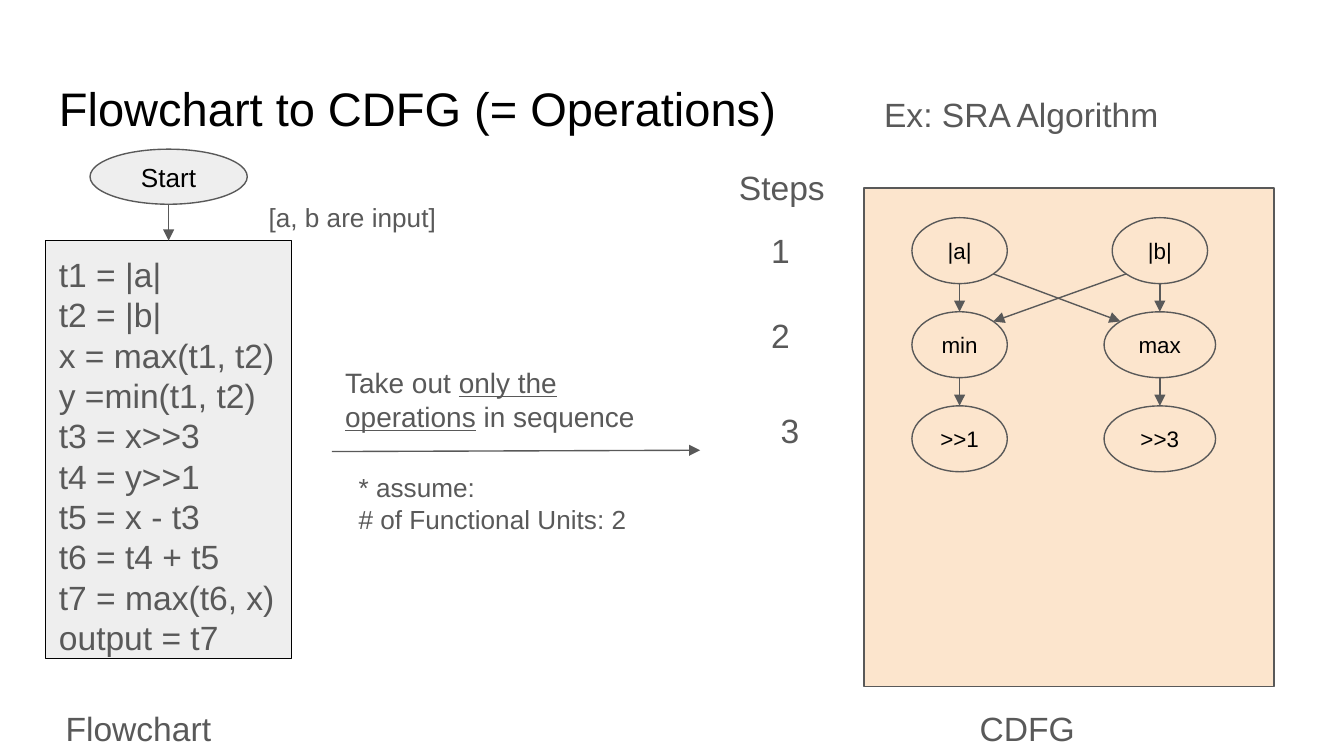
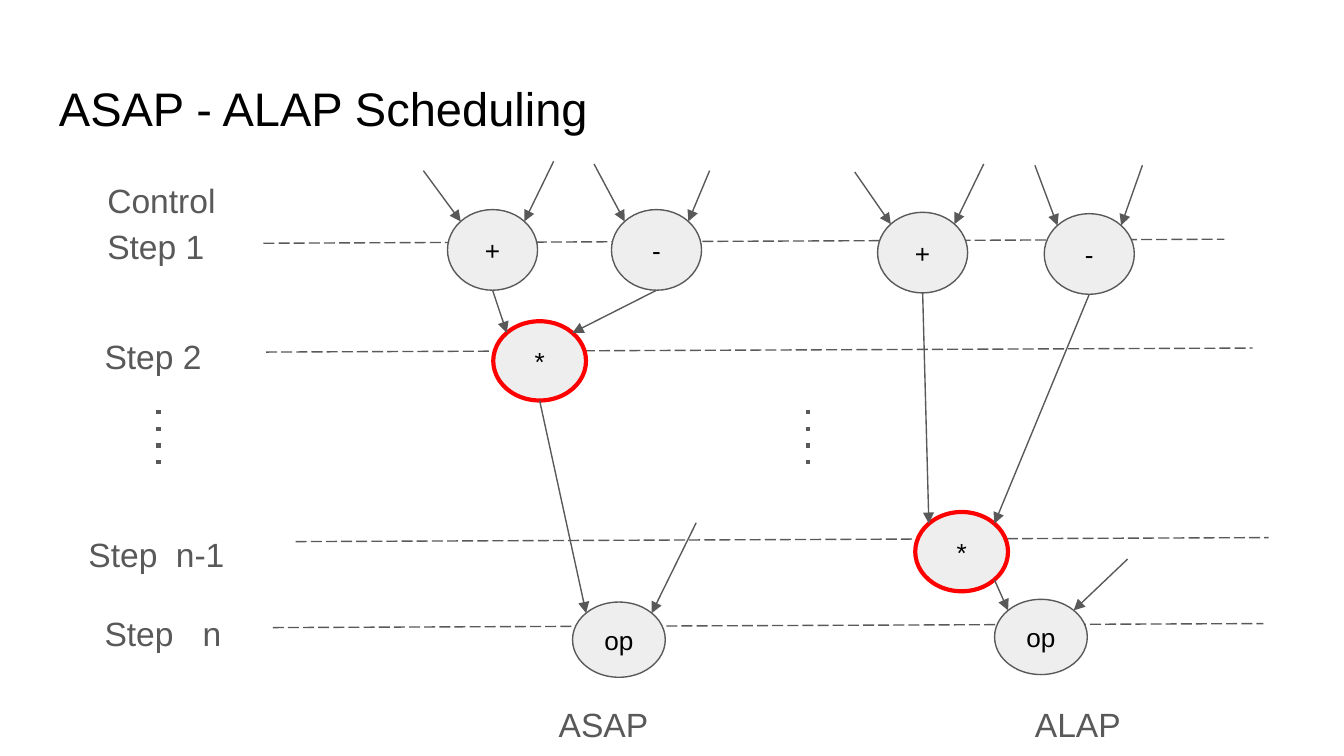
from dataclasses import dataclass
from math import sqrt

from lxml import etree
from pptx import Presentation
from pptx import util as u
from pptx.dml import color as dml
from pptx.enum import shapes, text
from pptx.oxml import ns


@dataclass(frozen=True)
class Theme:
    """Hold the colours, font and sizes shared by the slides."""

    font: str = "Arial"
    black: str = "000000"
    grey: str = "595959"
    node: str = "EEEEEE"
    panel: str = "FCE5CD"
    red: str = "FF0000"
    title: float = 25.2
    body: float = 18
    note: float = 15
    label: float = 14
    small: float = 12
    thin: float = 0.75
    thick: float = 2.25


@dataclass(frozen=True)
class Box:
    """Describe a rectangle in inches."""

    left: float
    top: float
    width: float
    height: float

    def point(self, x, y):
        """Return the slide position of an offset inside the box."""
        return self.left + x, self.top + y

    def inner(self, x, y, width, height):
        """Return a box placed relative to this one."""
        return Box(*self.point(x, y), width, height)

    def site(self, name):
        """Return the point of the inscribed ellipse named by t, b, l and r."""
        x = ("r" in name) - ("l" in name)
        y = ("b" in name) - ("t" in name)
        reach = 1 / sqrt(2) if x and y else 1
        return self.point(self.width / 2 * (1 + x * reach),
                          self.height / 2 * (1 + y * reach))

    def lengths(self):
        """Return the four measures as lengths."""
        return [u.Inches(value) for value in
                (self.left, self.top, self.width, self.height)]


THEME = Theme()
SHAPE = shapes.MSO_SHAPE
CENTER = text.PP_ALIGN.CENTER
MIDDLE = text.MSO_ANCHOR.MIDDLE


def rgb(value):
    """Turn a hex string into a colour."""
    return dml.RGBColor.from_string(value)


def add_xml(parent, tag, **attributes):
    """Append a drawing element and return it."""
    return etree.SubElement(parent, ns.qn(tag), attributes)


def write(shape, lines, size=THEME.body, color=THEME.grey, align=None,
          anchor=text.MSO_ANCHOR.TOP, spacing=None, after=None, tab=None):
    """Fill a shape with paragraphs; a tuple line alternates plain and underlined runs."""
    frame = shape.text_frame
    frame.word_wrap = True
    frame.vertical_anchor = anchor
    frame.margin_left = frame.margin_right = u.Inches(0.1)
    frame.margin_top = frame.margin_bottom = u.Inches(0.1)
    for index, line in enumerate(lines):
        paragraph = frame.paragraphs[0] if index == 0 else frame.add_paragraph()
        paragraph.alignment = align or text.PP_ALIGN.LEFT
        if spacing:
            paragraph.line_spacing = spacing
        if after:
            paragraph.space_after = u.Pt(after)
        if tab:
            stops = add_xml(paragraph._p.get_or_add_pPr(), "a:tabLst")
            add_xml(stops, "a:tab", pos=str(u.Inches(tab)), algn="l")
        for position, part in enumerate(line if isinstance(line, tuple) else (line,)):
            run = paragraph.add_run()
            run.text = part
            run.font.name = THEME.font
            run.font.size = u.Pt(size)
            run.font.color.rgb = rgb(color)
            if position % 2:
                run.font.underline = True


def add_text(slide, box, *lines, **style):
    """Add a text box."""
    write(slide.shapes.add_textbox(*box.lengths()), lines, **style)


def add_block(slide, box, kind, fill, line=THEME.grey, weight=THEME.thin):
    """Add a filled and outlined shape."""
    shape = slide.shapes.add_shape(kind, *box.lengths())
    shape.shadow.inherit = False
    shape.fill.solid()
    shape.fill.fore_color.rgb = rgb(fill)
    shape.line.color.rgb = rgb(line)
    shape.line.width = u.Pt(weight)
    return shape


def add_node(slide, box, label, size=THEME.label, fill=THEME.node, **outline):
    """Add an ellipse with a centred label and return its box."""
    shape = add_block(slide, box, SHAPE.OVAL, fill, **outline)
    write(shape, [label], size=size, color=THEME.black, align=CENTER, anchor=MIDDLE)
    return box


def add_line(slide, start, end, dash=None, arrow=False, weight=THEME.thin):
    """Add a straight line, dashed or with an arrowhead at its end."""
    ends = [u.Inches(value) for value in (*start, *end)]
    connector = slide.shapes.add_connector(shapes.MSO_CONNECTOR.STRAIGHT, *ends)
    connector.line.color.rgb = rgb(THEME.grey)
    connector.line.width = u.Pt(weight)
    properties = connector._element.spPr
    outline = properties.find(ns.qn("a:ln"))
    if dash:
        add_xml(outline, "a:prstDash", val=dash)
    if arrow:
        add_xml(outline, "a:tailEnd", type="triangle")
    add_xml(properties, "a:effectLst")


def add_arrow(slide, start, end):
    """Add a line that ends in an arrowhead."""
    add_line(slide, start, end, arrow=True)


def titled_slide(presentation, title):
    """Add a blank slide with the shared title."""
    slide = presentation.slides.add_slide(presentation.slide_layouts[6])
    add_text(slide, Box(0.34, 0.49, 9.32, 0.63), title,
             size=THEME.title, color=THEME.black)
    return slide


def flowchart(slide, box):
    """Draw the start node, the statements and their captions."""
    start = add_node(slide, box.inner(0.33, 0, 1.17, 0.41), "Start")
    code = box.inner(0, 0.68, box.width, 3.11)
    statements = add_block(slide, code, SHAPE.RECTANGLE, THEME.node, line=THEME.black)
    write(statements, ["t1 = |a|", "t2 = |b|", "x = max(t1, t2)", "y =min(t1, t2)",
                       "t3 = x>>3", "t4 = y>>1", "t5 = x - t3", "t6 = t4 + t5",
                       "t7 = max(t6, x)", "output = t7"])
    add_arrow(slide, start.site("b"), code.site("t"))
    add_text(slide, box.inner(1.56, 0.29, 1.98, 0.27), "[a, b are input]",
             size=THEME.label)
    add_text(slide, box.inner(0.05, 4.06, 1.74, 0.35), "Flowchart")


def transition(slide, box):
    """Draw the arrow between the diagrams with its notes."""
    add_text(slide, box.inner(0, 0, 2.5, 0.68),
             ("Take out ", "only the operations", " in sequence"), size=THEME.note)
    add_arrow(slide, box.point(0, 0.74), box.point(box.width, 0.73))
    add_text(slide, box.inner(0.1, 0.79, 2.53, 0.53), "* assume:",
             "# of Functional Units: 2", size=THEME.label)


def data_flow_graph(slide, box):
    """Draw the panel with two columns of operations."""
    add_block(slide, box, SHAPE.RECTANGLE, THEME.panel)
    columns = [(0.71, [("|a|", 0.71), ("min", 0.71), (">>1", 0.71)]),
               (2.2, [("|b|", 0.71), ("max", 0.83), (">>3", 0.83)])]
    grid = []
    for center, operations in columns:
        nodes = [add_node(slide, box.inner(center - width / 2, 0.22 + 0.7 * row,
                                           width, 0.49),
                          label, size=THEME.small, fill=THEME.panel)
                 for row, (label, width) in enumerate(operations)]
        for upper, lower in zip(nodes, nodes[1:]):
            add_arrow(slide, upper.site("b"), lower.site("t"))
        grid.append(nodes)
    left, right = grid
    add_arrow(slide, left[0].site("br"), right[1].site("tl"))
    add_arrow(slide, right[0].site("bl"), left[1].site("tr"))
    add_text(slide, box.inner(0.76, 3.77, 1.74, 0.35), "CDFG")


def step_numbers(slide, box):
    """Write the step heading and numbers beside the graph."""
    add_text(slide, box.inner(0, 0, box.width, 0.35), "Steps")
    for number, (x, y) in enumerate([(0.24, 0.47), (0.24, 1.1), (0.31, 1.81)], 1):
        add_text(slide, box.inner(x, y, 0.46, 0.5), str(number))


def control_steps(slide, box):
    """Draw the dashed step lines, their labels and the dotted gaps."""
    for x, y, length in [(1.4, 0.57, 7.15), (1.42, 1.38, 7.34),
                         (1.64, 2.79, 7.24), (1.47, 3.43, 7.37)]:
        add_line(slide, box.point(x, y), box.point(x + length, y - 0.03), dash="lgDash")
    for label, x, y, width, tab in [("Control", 0.14, 0, 1.18, None),
                                    ("Step 1", 0.14, 0.34, 1.1, None),
                                    ("Step 2", 0.12, 1.16, 1.13, None),
                                    ("Step\tn-1", 0, 2.63, 1.45, 0.65),
                                    ("Step\tn", 0.12, 3.22, 1.14, 0.73)]:
        add_text(slide, box.inner(x, y, width, 0.3), label, tab=tab)
    for x in (0.62, 5.45):
        add_line(slide, box.point(x, 1.81), box.point(x, 2.29),
                 dash="dot", weight=THEME.thick)


def schedule(slide, box, name, caption, plus, minus, star, last, inputs, star_exit):
    """Draw one schedule, its nodes and inputs placed by offsets in the box."""
    plus = add_node(slide, box.inner(*plus, 0.67, 0.6), "+")
    minus = add_node(slide, box.inner(*minus, 0.67, 0.6), "-")
    star = add_node(slide, box.inner(*star, 0.69, 0.59), "*",
                    line=THEME.red, weight=THEME.thick)
    last = add_node(slide, box.inner(*last, 0.69, 0.56), "op")
    targets = [plus.site("tl"), plus.site("tr"), minus.site("tl"),
               minus.site("tr"), last.site("tr")]
    for start, target in zip(inputs, targets):
        add_arrow(slide, box.point(*start), target)
    add_arrow(slide, plus.site("b"), star.site("tl"))
    add_arrow(slide, minus.site("b"), star.site("tr"))
    add_arrow(slide, star.site(star_exit), last.site("tl"))
    add_text(slide, box.inner(caption, box.height - 0.28, 2.02, 0.28), name,
             align=CENTER)


def operations_slide(presentation):
    """Build the slide that turns a flowchart into a graph."""
    slide = titled_slide(presentation, "Flowchart to CDFG (= Operations)")
    add_text(slide, Box(6.48, 0.62, 2.5, 0.49), "Ex: SRA Algorithm",
             spacing=0.95, after=12)
    flowchart(slide, Box(0.34, 1.11, 1.83, 4.41))
    transition(slide, Box(2.47, 2.62, 2.74, 1.32))
    data_flow_graph(slide, Box(6.43, 1.4, 3.05, 3.71))
    step_numbers(slide, Box(5.4, 1.14, 1.07, 2.31))


def scheduling_slide(presentation):
    """Build the slide that compares the two schedules."""
    slide = titled_slide(presentation, "ASAP - ALAP Scheduling")
    control_steps(slide, Box(0.56, 1.24, 8.88, 3.5))
    schedule(slide, Box(3.15, 1.2, 2.35, 4.22), "ASAP", 0.33,
             plus=(0.18, 0.36), minus=(1.4, 0.36), star=(0.52, 1.19), last=(1.11, 3.28),
             inputs=[(0, 0.07), (0.97, 0), (1.27, 0.02), (2.13, 0.07), (2.03, 2.69)],
             star_exit="b")
    schedule(slide, Box(6.36, 1.22, 2.67, 4.2), "ALAP", 0.65,
             plus=(0.17, 0.36), minus=(1.41, 0.37), star=(0.45, 2.59), last=(1.04, 3.24),
             inputs=[(0, 0.06), (0.96, 0), (1.34, 0.01), (2.14, 0.01), (2.03, 2.94)],
             star_exit="br")


def main():
    """Build and save the presentation."""
    presentation = Presentation()
    presentation.slide_width = u.Inches(10)
    presentation.slide_height = u.Inches(10 * 9 / 16)
    operations_slide(presentation)
    scheduling_slide(presentation)
    presentation.save("out.pptx")


if __name__ == "__main__":
    main()
